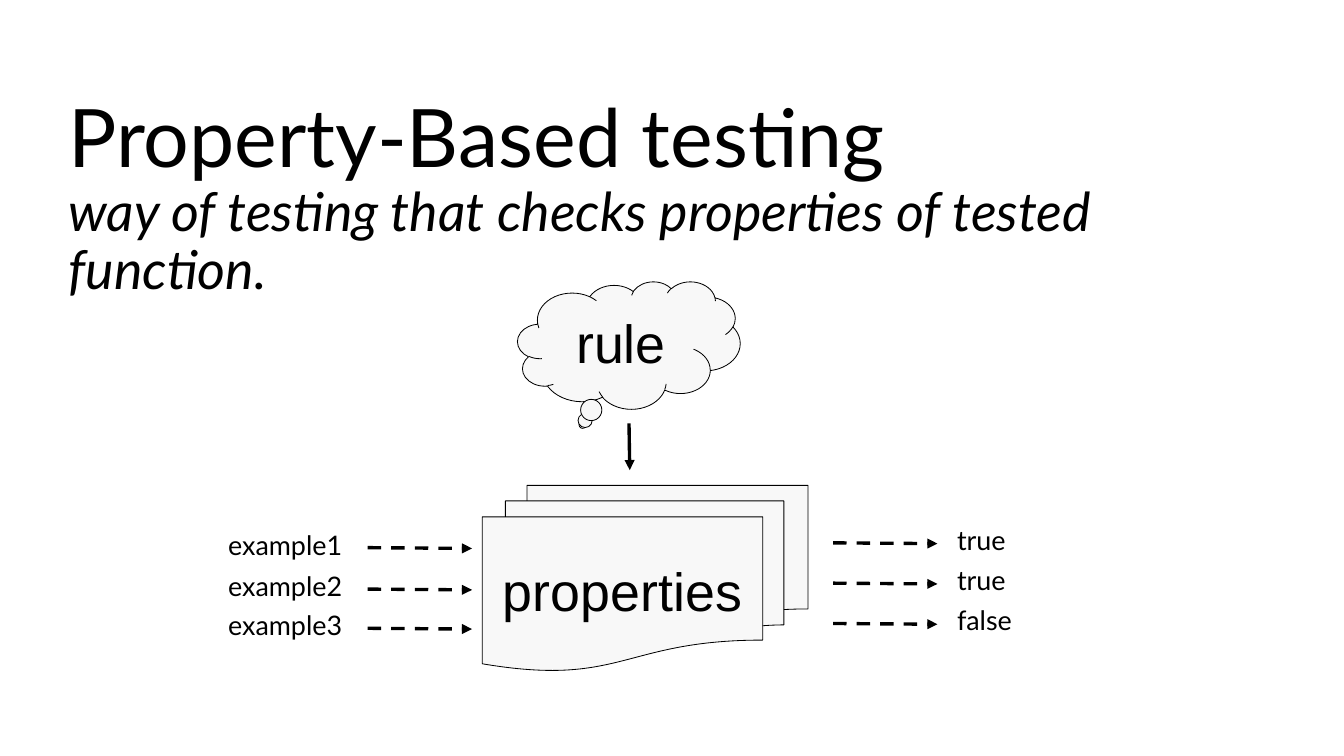
from pptx import Presentation
from pptx.dml.color import RGBColor
from pptx.enum.dml import MSO_LINE
from pptx.enum.shapes import MSO_CONNECTOR, MSO_SHAPE
from pptx.enum.text import MSO_ANCHOR as ANCHOR, PP_ALIGN as ALIGN
from pptx.oxml.ns import qn
from pptx.util import Pt
from lxml.etree import SubElement

BLACK = RGBColor(0x00, 0x00, 0x00)
LIGHT_GRAY = RGBColor(0xF8, 0xF8, 0xF8)


def write_text(shape, lines, inset, anchor, paragraph_format):
    frame = shape.text_frame
    frame_format = {"word_wrap": True, "vertical_anchor": anchor}
    for side in ("left", "top", "right", "bottom"):
        frame_format[f"margin_{side}"] = Pt(inset)
    for name, value in frame_format.items():
        setattr(frame, name, value)
    for index, (text, font_format) in enumerate(lines):
        paragraph = frame.add_paragraph() if index else frame.paragraphs[0]
        for name, value in paragraph_format.items():
            setattr(paragraph, name, value)
        run = paragraph.add_run()
        run.text = text
        run.font.color.rgb = BLACK
        for name, value in font_format.items():
            setattr(run.font, name, value)


def add_arrow(left, top, right, bottom, dash=None):
    arrow = slide.shapes.add_connector(
        MSO_CONNECTOR.STRAIGHT, Pt(left), Pt(top), Pt(right), Pt(bottom))
    arrow.line.color.rgb = BLACK
    arrow.line.width = Pt(3)
    if dash:
        arrow.line.dash_style = dash
    SubElement(arrow.line._get_or_add_ln(), qn("a:tailEnd"), type="triangle")
    SubElement(arrow._element.spPr, qn("a:effectLst"))


presentation = Presentation()
presentation.slide_width = Pt(1200)
presentation.slide_height = Pt(675)
slide = presentation.slides.add_slide(presentation.slide_layouts[6])

title = slide.shapes.add_textbox(Pt(61.2), Pt(87.1), Pt(1056.2), Pt(175.7))
title_lines = [
    ("Property-Based testing", {"name": "Lato", "size": Pt(72)}),
    ("way of testing that checks properties of tested function.",
     {"name": "Lato", "size": Pt(48), "italic": True}),
]
write_text(title, title_lines, 0, ANCHOR.TOP, {"line_spacing": 0.9})

diagram_shapes = [
    ("properties", MSO_SHAPE.FLOWCHART_MULTIDOCUMENT, (430.6, 433.4, 290.9, 165.6), ()),
    ("rule", MSO_SHAPE.CLOUD_CALLOUT, (462.2, 251.3, 198.7, 113.8), (-0.208, 0.625)),
]
for text, kind, box, adjustments in diagram_shapes:
    shape = slide.shapes.add_shape(kind, *map(Pt, box))
    for index, value in enumerate(adjustments):
        shape.adjustments[index] = value
    shape.shadow.inherit = False
    shape.fill.solid()
    shape.fill.fore_color.rgb = LIGHT_GRAY
    shape.line.color.rgb = BLACK
    shape.line.width = Pt(0.75)
    write_text(shape, [(text, {"name": "Arial", "size": Pt(48)})], 7.2,
               ANCHOR.MIDDLE, {"alignment": ALIGN.CENTER})

label_columns = [
    (196.6, 328.3, [("example1", 464.4), ("example2", 501.4), ("example3", 536.4)]),
    (847.4, 743.8, [("true", 460.1), ("true", 496.1), ("false", 532.1)]),
]
for label_left, arrow_left, labels in label_columns:
    for text, top in labels:
        label = slide.shapes.add_textbox(Pt(label_left), Pt(top), Pt(131), Pt(25.9))
        write_text(label, [(text, {"name": "Lato", "size": Pt(24)})], 7.2,
                   ANCHOR.TOP, {"alignment": ALIGN.LEFT})
        add_arrow(arrow_left, top + 24.6, arrow_left + 93.2, top + 25.3, MSO_LINE.DASH)

add_arrow(561.6, 378, 562.3, 419.8)

presentation.save("out.pptx")
